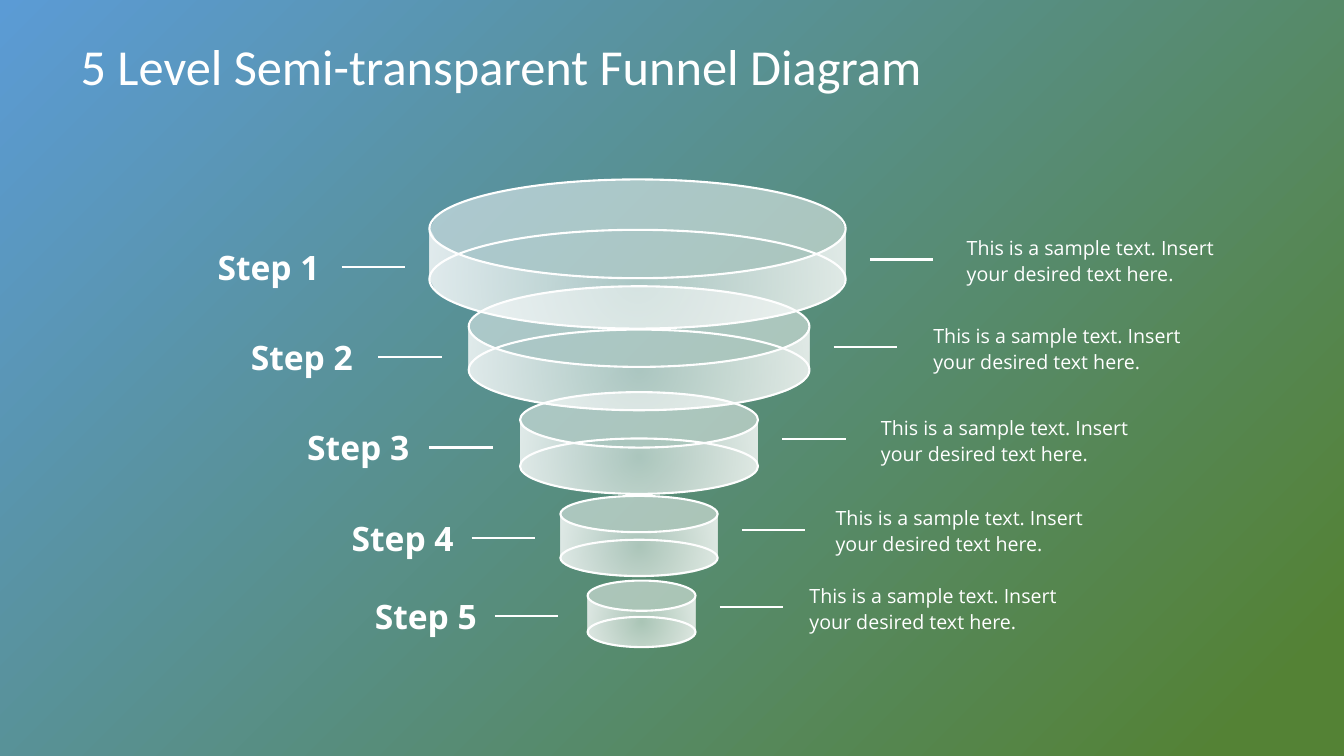
import math
from dataclasses import dataclass

from lxml import etree
from pptx import Presentation
from pptx.dml.color import RGBColor
from pptx.enum.shapes import MSO_CONNECTOR, MSO_SHAPE
from pptx.enum.text import MSO_ANCHOR, MSO_AUTO_SIZE, PP_ALIGN
from pptx.oxml.ns import qn
from pptx.util import Inches, Pt

ELLIPSE = MSO_SHAPE.OVAL
STRAIGHT = MSO_CONNECTOR.STRAIGHT
TOP, MIDDLE = MSO_ANCHOR.TOP, MSO_ANCHOR.MIDDLE
FIT_SHAPE = MSO_AUTO_SIZE.SHAPE_TO_FIT_TEXT
LEFT, RIGHT = PP_ALIGN.LEFT, PP_ALIGN.RIGHT

COLUMNS, ROWS = 133.33, 75
CELL = Inches(0.1)
ARC_STEPS = 12


@dataclass(frozen=True)
class Theme:
    white: RGBColor = RGBColor(0xFF, 0xFF, 0xFF)
    sky: RGBColor = RGBColor(0x5B, 0x9B, 0xD5)
    leaf: RGBColor = RGBColor(0x54, 0x82, 0x35)
    title_font: str = "Calibri"
    text_font: str = "Open Sans"
    title_size: int = 36
    label_size: int = 24
    body_size: int = 14
    line_width: float = 1.5
    glass_opacity: int = 50
    wall_opacity: int = 66


@dataclass(frozen=True)
class Ring:
    left: float
    top: float
    width: float
    rim: float
    depth: float

    @property
    def right(self):
        return self.left + self.width

    def arc(self, start, end, drop=0):
        centre_x = self.left + self.width / 2
        centre_y = self.top + self.rim / 2 + drop
        angles = [math.radians(start + (end - start) * step / ARC_STEPS)
                  for step in range(ARC_STEPS + 1)]
        return [(centre_x + self.width / 2 * math.cos(angle),
                 centre_y + self.rim / 2 * math.sin(angle)) for angle in angles]

    def body(self):
        return self.arc(180, 360) + self.arc(0, 180, self.depth)

    def wall(self):
        return self.arc(180, 0) + self.arc(0, 180, self.depth)


def cells(*lengths):
    return [round(length * CELL) for length in lengths]


def set_opacity(color, percent):
    etree.SubElement(color, qn("a:alpha"), val=str(percent * 1000))


class FunnelSlide:
    def __init__(self, presentation, theme):
        self.theme = theme
        self.slide = presentation.slides.add_slide(presentation.slide_layouts[6])
        self.shapes = self.slide.shapes

    def background(self):
        fill = self.slide.background.fill
        fill.gradient()
        fill.gradient_angle = 315
        start, end = fill.gradient_stops
        start.color.rgb, start.position = self.theme.sky, 0
        end.color.rgb, end.position = self.theme.leaf, 0.94

    def text(self, words, box, size, font, bold=False, align=LEFT, anchor=TOP,
             insets=(1, 0.5), wrap=True, fit=True, spacing=None):
        frame = self.shapes.add_textbox(*cells(*box)).text_frame
        frame.word_wrap = wrap
        if fit:
            frame.auto_size = FIT_SHAPE
        frame.vertical_anchor = anchor
        side, edge = cells(*insets)
        frame.margin_left = frame.margin_right = side
        frame.margin_top = frame.margin_bottom = edge
        paragraph = frame.paragraphs[0]
        paragraph.text = words
        paragraph.alignment = align
        paragraph.line_spacing = spacing
        paragraph.font.name = font
        paragraph.font.size = Pt(size)
        paragraph.font.bold = bold
        paragraph.font.color.rgb = self.theme.white

    def stroke(self, line):
        line.color.rgb = self.theme.white
        line.width = Pt(self.theme.line_width)

    def leader(self, start, end, row):
        connector = self.shapes.add_connector(STRAIGHT, *cells(start, row, end, row))
        self.stroke(connector.line)
        etree.SubElement(connector._element.spPr, qn("a:effectLst"))

    def outline(self, points):
        corners = [cells(*point) for point in points]
        builder = self.shapes.build_freeform(*corners[0])
        builder.add_line_segments(corners[1:], close=True)
        shape = builder.convert_to_shape()
        shape.shadow.inherit = False
        shape.line.fill.background()
        return shape

    def glass(self, ring):
        shape = self.outline(ring.body())
        shape.fill.solid()
        shape.fill.fore_color.rgb = self.theme.white
        set_opacity(shape._element.spPr.find(".//" + qn("a:srgbClr")),
                    self.theme.glass_opacity)

    def rim(self, ring, drop):
        box = cells(ring.left, ring.top + drop, ring.width, ring.rim)
        shape = self.shapes.add_shape(ELLIPSE, *box)
        shape.shadow.inherit = False
        shape.fill.background()
        self.stroke(shape.line)

    def wall(self, ring):
        shape = self.outline(ring.wall())
        shape.fill.gradient()
        for stop in shape.fill.gradient_stops:
            stop.color.rgb = self.theme.white
        gradient = shape._element.spPr.find(qn("a:gradFill"))
        opacities = (0, self.theme.wall_opacity)
        for color, percent in zip(gradient.iter(qn("a:srgbClr")), opacities):
            set_opacity(color, percent)
        radial = etree.Element(qn("a:path"), path="circle")
        etree.SubElement(radial, qn("a:fillToRect"),
                         dict.fromkeys("ltrb", "50000"))
        gradient.replace(gradient.find(qn("a:lin")), radial)


RINGS = [
    Ring(42.6, 17.8, 41.3, 9.8, 5),
    Ring(46.5, 28.4, 33.8, 8, 4.3),
    Ring(51.6, 38.9, 23.6, 5.5, 4.6),
    Ring(55.6, 49.2, 15.6, 3.6, 4.35),
    Ring(58.3, 57.6, 10.7, 3, 3.6),
]
LABELS = [(20.4, 24), (23.7, 32.9), (29.3, 41.9), (33.7, 50.9), (36, 58.6)]
LEADER_STARTS = [33.9, 37.5, 42.6, 46.8, 49.1]
NOTES = [(95.9, 22.7), (92.6, 31.4), (87.4, 40.5), (82.9, 49.5), (80.3, 57.2)]
LEADER, RING_GAP = 6.3, 2.4
LABEL_SIZE, NOTE_SIZE = (12.3, 5), (27, 6.1)
NOTE = "This is a sample text. Insert your desired text here."

presentation = Presentation()
presentation.slide_width, presentation.slide_height = cells(COLUMNS, ROWS)
theme = Theme()
funnel = FunnelSlide(presentation, theme)
funnel.background()
funnel.text("5 Level Semi-transparent Funnel Diagram", (6.7, 3, 120, 7.8),
            theme.title_size, theme.title_font, anchor=MIDDLE,
            insets=(1.3, 0.7), fit=False, spacing=0.9)

for ring in reversed(RINGS):
    funnel.glass(ring)
    for drop in (0, ring.depth):
        funnel.rim(ring, drop)
for ring in RINGS:
    funnel.wall(ring)

steps = zip(RINGS, LABELS, LEADER_STARTS, NOTES)
for number, (ring, label, leader_start, note) in enumerate(steps, 1):
    funnel.leader(leader_start, leader_start + LEADER, label[1] + LABEL_SIZE[1] / 2)
    note_leader = ring.right + RING_GAP
    funnel.leader(note_leader, note_leader + LEADER, note[1] + NOTE_SIZE[1] / 2)
    funnel.text(f"Step {number}", label + LABEL_SIZE, theme.label_size,
                theme.text_font, bold=True, align=RIGHT, wrap=False)
    funnel.text(NOTE, note + NOTE_SIZE, theme.body_size, theme.text_font,
                insets=(0, 0.5), spacing=1.1)

presentation.save("out.pptx")
